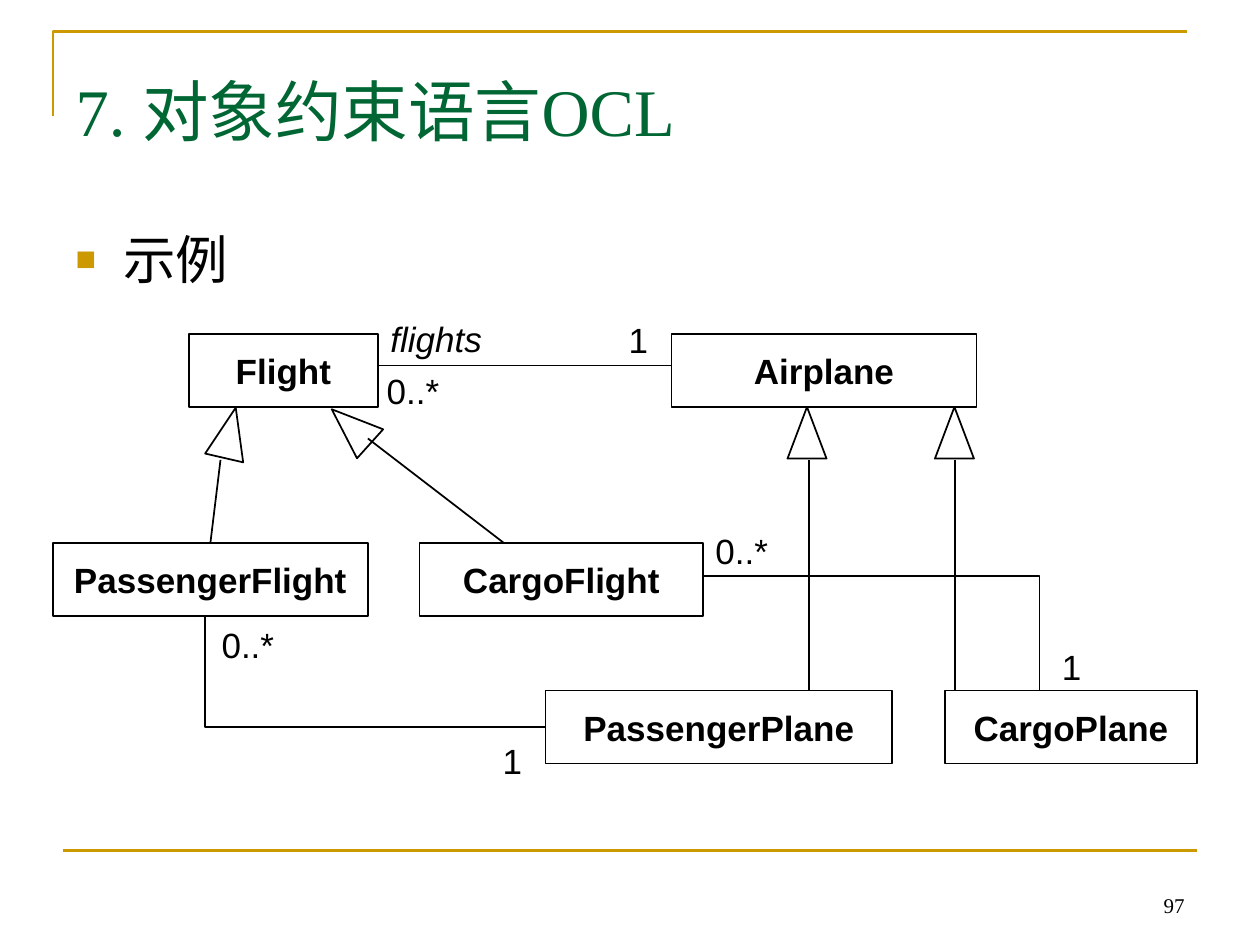
from pptx import Presentation
from pptx.dml.color import RGBColor
from pptx.enum.shapes import MSO_CONNECTOR, MSO_SHAPE
from pptx.enum.text import MSO_ANCHOR, MSO_AUTO_SIZE, PP_ALIGN
from pptx.oxml import parse_xml
from pptx.oxml.ns import nsdecls
from pptx.util import Inches, Pt

BLACK = RGBColor(0, 0, 0)
GREEN = RGBColor(0x00, 0x66, 0x33)
GOLD = RGBColor(0xCC, 0x99, 0x00)

LABEL = dict(name="Arial", size=Pt(20), bold=False, italic=False)
CLASS = dict(LABEL, bold=True)
ROLE = dict(LABEL, italic=True)
TITLE = dict(LABEL, name="Times New Roman", size=Pt(38))
ITEM = dict(LABEL, size=Pt(30))
PAGE = dict(LABEL, name="Times New Roman", size=Pt(12))


def write(shape, text, style, color=BLACK, align=PP_ALIGN.LEFT,
          anchor=MSO_ANCHOR.TOP, wrap=False):
    frame = shape.text_frame
    frame.text = text
    frame.word_wrap = wrap
    frame.auto_size = MSO_AUTO_SIZE.NONE
    frame.vertical_anchor = anchor
    para = frame.paragraphs[0]
    para.alignment = align
    para.space_before = Pt(0)
    font = para.runs[0].font
    for key, value in style.items():
        setattr(font, key, value)
    font.color.rgb = color


def outline(shape, color=BLACK, width=1):
    """Leave only a plain line: no fill and no shadow."""
    shape.shadow.inherit = False
    shape.fill.background()
    shape.line.color.rgb = color
    shape.line.width = Pt(width)


prs = Presentation()
prs.slide_width, prs.slide_height = Inches(10), Inches(7.5)
slide = prs.slides.add_slide(prs.slide_layouts[1])
shapes = slide.shapes

# Title, list and page number
title, body = slide.placeholders
page = shapes.add_textbox(0, 0, 0, 0)
for shape, box in ((title, (0.5, 0.25, 9, 1.25)),
                   (body, (0.5, 1.75, 9, 4.95)),
                   (page, (7.17, 6.83, 2.33, 0.5))):
    shape.left, shape.top, shape.width, shape.height = map(Inches, box)

write(title, "7. 对象约束语言OCL", TITLE, GREEN,
      anchor=MSO_ANCHOR.MIDDLE, wrap=True)
write(page, "97", PAGE, align=PP_ALIGN.RIGHT,
      anchor=MSO_ANCHOR.BOTTOM, wrap=True)
write(body, "示例", ITEM, wrap=True)
props = body.text_frame.paragraphs[0]._p.get_or_add_pPr()
props.set("marL", str(Inches(0.38)))
props.set("indent", str(-Inches(0.38)))
for xml in (f'<a:buClr {nsdecls("a")}><a:srgbClr val="{GOLD}"/></a:buClr>',
            f'<a:buSzPct {nsdecls("a")} val="65000"/>',
            f'<a:buFont {nsdecls("a")} typeface="Arial"/>',
            f'<a:buChar {nsdecls("a")} char="■"/>'):
    props.append(parse_xml(xml))

# Classes
rects = {}
for name, left, top, width in (
        ("Flight", 1.5, 2.65, 1.5), ("Airplane", 5.33, 2.65, 2.42),
        ("PassengerFlight", 0.42, 4.31, 2.5), ("CargoFlight", 3.33, 4.31, 2.25),
        ("PassengerPlane", 4.33, 5.48, 2.75), ("CargoPlane", 7.5, 5.48, 2)):
    rect = shapes.add_shape(MSO_SHAPE.RECTANGLE, Inches(left), Inches(top),
                            Inches(width), Inches(0.58))
    outline(rect)
    write(rect, name, CLASS, align=PP_ALIGN.CENTER, anchor=MSO_ANCHOR.MIDDLE)
    rects[name] = rect

# Inheritance heads
for left, top, angle in ((2.63, 3.18, 312), (1.67, 3.23, 13),
                         (6.25, 3.23, 0), (7.42, 3.23, 0)):
    head = shapes.add_shape(MSO_SHAPE.ISOSCELES_TRIANGLE, Inches(left),
                            Inches(top), Inches(0.31), Inches(0.41))
    head.rotation = angle
    outline(head)

# Straight lines: ends, colour, width, class joined at its top middle
for ends, color, width, joined in (
        ((0.5, 6.75, 9.5, 6.75), GOLD, 1.5, None),
        ((1.75, 3.65, 1.67, 4.31), BLACK, 1, "PassengerFlight"),
        ((2.92, 3.48, 4, 4.31), BLACK, 1, None),
        ((6.42, 3.65, 6.42, 5.48), BLACK, 1, None),
        ((7.58, 3.65, 7.58, 5.48), BLACK, 1, None),
        ((3, 2.9, 5.33, 2.9), BLACK, 1, None)):
    line = shapes.add_connector(MSO_CONNECTOR.STRAIGHT, *map(Inches, ends))
    line.line.color.rgb = color
    line.line.width = Pt(width)
    line._element.spPr.append(parse_xml(f'<a:effectLst {nsdecls("a")}/>'))
    if joined:
        line.end_connect(rects[joined], 0)

# Bent lines: page corner and two associations
for points, color, width in (
        (((0.42, 0.92), (0.42, 0.25), (9.42, 0.25)), GOLD, 1.5),
        (((1.63, 4.9), (1.63, 5.77), (4.33, 5.77)), BLACK, 1),
        (((5.58, 4.57), (8.25, 4.57), (8.25, 5.48)), BLACK, 1)):
    start, *rest = [(Inches(x), Inches(y)) for x, y in points]
    path = shapes.build_freeform(*start)
    path.add_line_segments(rest, close=False)
    outline(path.convert_to_shape(), color, width)

# Roles and counts
for text, left, top, width, style in (
        ("1", 3.89, 5.82, 0.36, LABEL), ("0..*", 1.66, 4.9, 0.62, LABEL),
        ("1", 8.33, 5.07, 0.36, LABEL), ("0..*", 5.58, 4.15, 0.62, LABEL),
        ("0..*", 2.97, 2.88, 0.62, LABEL), ("1", 4.89, 2.48, 0.36, LABEL),
        ("flights", 3, 2.47, 0.93, ROLE)):
    label = shapes.add_textbox(Inches(left), Inches(top),
                               Inches(width), Inches(0.43))
    write(label, text, style)

prs.save("out.pptx")
